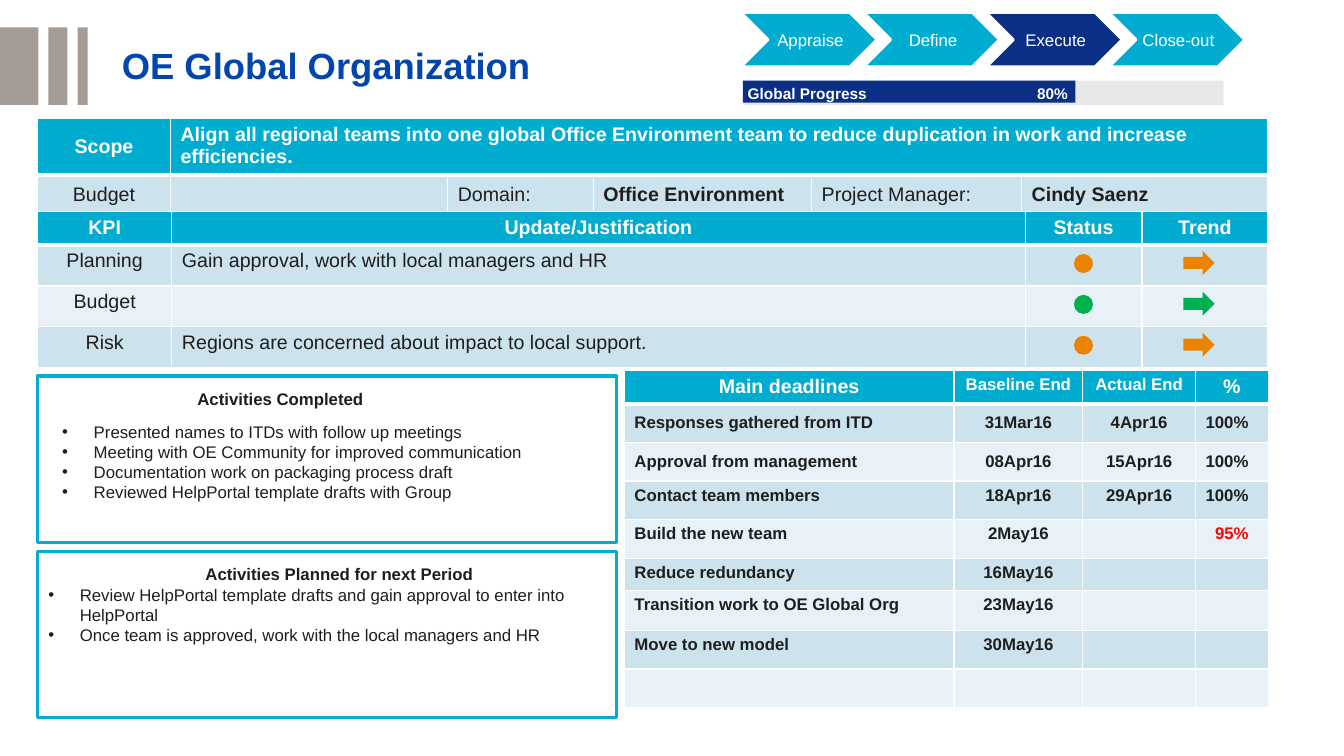
"""Builds the OE Global Organization project status slide."""
from lxml.etree import SubElement
from pptx import Presentation
from pptx.dml.color import RGBColor
from pptx.enum.shapes import MSO_SHAPE
from pptx.enum.text import MSO_ANCHOR, MSO_AUTO_SIZE, PP_ALIGN
from pptx.oxml.ns import qn
from pptx.util import Pt

COLOURS = {
    "white": "FFFFFF", "ink": "1E1E1E", "title": "0046AD", "cyan": "00ADD0",
    "navy": "0A2F85", "taupe": "A59D95", "track": "E8E8E8", "band": "CCE3EE",
    "pale": "E7F1F7", "orange": "E98300", "green": "00B050", "red": "FF0000",
}
TITLE = "OE Global Organization"
TITLE_BARS = [(0, 27.4), (34.5, 13.7), (55.4, 7.2)]
PHASES = ["Appraise", "Define", "Execute", "Close-out"]
CURRENT_PHASE = "Execute"
PROGRESS = [("Global Progress", 527, 104), ("80%", 733.7, 41)]

SCOPE = [
    ("Scope", "Align all regional teams into one global Office Environment team to "
     "reduce duplication in work and increase efficiencies.", "", "", "", ""),
    ("Budget", "", "Domain:", "Office Environment", "Project Manager:", "Cindy Saenz"),
]
KPIS = [
    ("KPI", "Update/Justification", "Status", "Trend"),
    ("Planning", "Gain approval, work with local managers and HR", "", ""),
    ("Budget", "", "", ""),
    ("Risk", "Regions are concerned about impact to local support.", "", ""),
]
KPI_STATUS = ["orange", "green", "orange"]
DEADLINES = [
    ("Main deadlines", "Baseline End", "Actual End", "%"),
    ("Responses gathered from ITD", "31Mar16", "4Apr16", "100%"),
    ("Approval from management", "08Apr16", "15Apr16", "100%"),
    ("Contact team members", "18Apr16", "29Apr16", "100%"),
    ("Build the new team", "2May16", "", "95%"),
    ("Reduce redundancy", "16May16", "", ""),
    ("Transition work to OE Global Org", "23May16", "", ""),
    ("Move to new model", "30May16", "", ""),
    ("", "", "", ""),
]
PANELS = [
    {"top": 268.6, "heading": ("Activities Completed", 133.9, 274.3, 193),
     "place": (37.4, 297.4, 385, 80), "bullets": [
        "Presented names to ITDs with follow up meetings",
        "Meeting with OE Community for improved communication",
        "Documentation work on packaging process draft",
        "Reviewed HelpPortal template drafts with Group"]},
    {"top": 393.8, "heading": ("Activities Planned for next Period", 139.7, 398.9, 227),
     "place": (27.4, 414, 413.3, 94), "bullets": [
        "Review HelpPortal template drafts and gain approval to enter into HelpPortal",
        "Once team is approved, work with the local managers and HR"]},
]


def colour(name):
    return RGBColor.from_string(COLOURS[name])


def write(para, text, size, tint="ink", bold=False):
    span = para.add_run()
    span.text = text
    span.font.name = "Arial"
    span.font.size = Pt(size)
    span.font.bold = bold
    span.font.color.rgb = colour(tint)


def add_shape(page, kind, left, top, width, height, fill, line=None, weight=2):
    shape = page.shapes.add_shape(kind, Pt(left), Pt(top), Pt(width), Pt(height))
    shape.shadow.inherit = False
    shape.fill.solid()
    shape.fill.fore_color.rgb = colour(fill)
    if line:
        shape.line.color.rgb = colour(line)
        shape.line.width = Pt(weight)
    else:
        shape.line.fill.background()
    return shape


def add_text(page, left, top, width, height, lines, size=12, tint="ink", bold=False, bullet=False):
    box = page.shapes.add_textbox(Pt(left), Pt(top), Pt(width), Pt(height))
    frame = box.text_frame
    frame.word_wrap = True
    for index, line in enumerate(lines):
        para = frame.add_paragraph() if index else frame.paragraphs[0]
        if bullet:
            properties = para._p.get_or_add_pPr()
            properties.set("marL", str(Pt(22.5)))
            properties.set("indent", str(-Pt(22.5)))
            SubElement(properties, qn("a:buFont"), typeface="Arial")
            SubElement(properties, qn("a:buChar"), char="•")
        write(para, line, size, tint, bold)


def add_borders(cell, row):
    weights = {"L": 1, "R": 1, "T": 3 if row == 1 else 1, "B": 1 if row else 3}
    properties = cell._tc.get_or_add_tcPr()
    for side, weight in weights.items():
        line = SubElement(properties, qn("a:ln" + side), w=str(Pt(weight)))
        SubElement(SubElement(line, qn("a:solidFill")), qn("a:srgbClr"), val=COLOURS["white"])


def add_grid(page, left, top, widths, heights, rows, size, centred, bold=(), middle=()):
    frame = page.shapes.add_table(len(rows), len(widths), Pt(left), Pt(top),
                                  Pt(sum(widths)), Pt(sum(heights)))
    table = frame.table
    for column, width in zip(table.columns, widths):
        column.width = Pt(width)
    for row, (height, texts) in enumerate(zip(heights, rows)):
        table.rows[row].height = Pt(height)
        for column, text in enumerate(texts):
            cell = table.cell(row, column)
            add_borders(cell, row)
            cell.fill.solid()
            cell.fill.fore_color.rgb = colour(
                "cyan" if row == 0 else "band" if row % 2 else "pale")
            if row in middle:
                cell.vertical_anchor = MSO_ANCHOR.MIDDLE
            if not text:
                cell.margin_top = cell.margin_bottom = 0
                continue
            para = cell.text_frame.paragraphs[0]
            if row == 0 or column in centred:
                para.alignment = PP_ALIGN.CENTER
            write(para, text, 14 if row == 0 else size,
                  "ink" if row else "white", row == 0 or column in bold)
    return table


def add_header(page):
    for left, width in TITLE_BARS:
        add_shape(page, MSO_SHAPE.RECTANGLE, left, 19.6, width, 55.4, "taupe")
    title = page.shapes.title
    title.left, title.top, title.width, title.height = Pt(87), Pt(18.7), Pt(430), Pt(54.7)
    frame = title.text_frame
    frame.auto_size = MSO_AUTO_SIZE.NONE
    frame.vertical_anchor = MSO_ANCHOR.MIDDLE
    frame.margin_left = frame.margin_right = frame.margin_top = frame.margin_bottom = 0
    frame.paragraphs[0].alignment = PP_ALIGN.LEFT
    write(frame.paragraphs[0], TITLE, 26, "title", True)
    add_shape(page, MSO_SHAPE.RECTANGLE, 531.4, 57.6, 342.7, 17.3, "track")
    add_shape(page, MSO_SHAPE.RECTANGLE, 530.6, 57.6, 237.6, 15.8, "navy")
    for label, left, width in PROGRESS:
        add_text(page, left, 56.5, width, 20.5, [label], 11, "white", True)
    for index, phase in enumerate(PHASES):
        fill = "navy" if phase == CURRENT_PHASE else "cyan"
        chevron = add_shape(page, MSO_SHAPE.CHEVRON, 529.2 + 87.6 * index, 8.9,
                            97.2, 38.9, fill, "white")
        frame = chevron.text_frame
        frame.word_wrap = False
        frame.vertical_anchor = MSO_ANCHOR.MIDDLE
        frame.margin_left = Pt(3.6)
        frame.margin_right = frame.margin_top = frame.margin_bottom = Pt(1.4)
        frame.paragraphs[0].alignment = PP_ALIGN.CENTER
        write(frame.paragraphs[0], phase, 12, "white")


def add_tables(page):
    scope = add_grid(page, 26.8, 84.4, [95, 198, 104, 156, 150, 176], [39.5, 27],
                     SCOPE, 14, centred={0}, bold={3, 5}, middle={0, 1})
    scope.cell(0, 1).merge(scope.cell(0, 5))
    scope.cell(0, 1).vertical_anchor = MSO_ANCHOR.TOP
    scope.cell(0, 1).text_frame.paragraphs[0].alignment = PP_ALIGN.LEFT

    add_grid(page, 26.8, 151, [96, 609.5, 83.5, 90], [23.3] + [29.2] * 3,
             KPIS, 14, centred={0})
    for index, tint in enumerate(KPI_STATUS):
        shift = 29.2 * index
        add_shape(page, MSO_SHAPE.OVAL, 768.2, 182.5 + shift, 11.5, 11.5, tint, tint)
        add_shape(page, MSO_SHAPE.RIGHT_ARROW, 845.3, 179.2 + shift, 22.3, 17.3, tint)

    heights = [23.6] + [27.6] * 4 + [23, 28.5] + [27.6] * 2
    deadlines = add_grid(page, 446, 264.4, [235.5, 92, 80.5, 52], heights, DEADLINES,
                         12, centred={1, 2}, bold={0, 1, 2, 3}, middle={1, 2})
    for column in (1, 2):
        deadlines.cell(0, column).text_frame.paragraphs[0].runs[0].font.size = Pt(12)
    late = deadlines.cell(4, 3).text_frame.paragraphs[0]
    late.alignment = PP_ALIGN.CENTER
    late.runs[0].font.color.rgb = colour("red")


def add_panels(page):
    for panel in PANELS:
        add_shape(page, MSO_SHAPE.RECTANGLE, 26.6, panel["top"], 414, 118.8, "white", "cyan", 2.25)
        heading, left, top, width = panel["heading"]
        add_text(page, left, top, width, 21.6, [heading], bold=True)
        add_text(page, *panel["place"], panel["bullets"], bullet=True)


def main():
    deck = Presentation()
    deck.slide_width, deck.slide_height = Pt(960), Pt(540)
    page = deck.slides.add_slide(deck.slide_layouts[5])
    add_header(page)
    add_tables(page)
    add_panels(page)
    deck.save("out.pptx")


if __name__ == "__main__":
    main()
